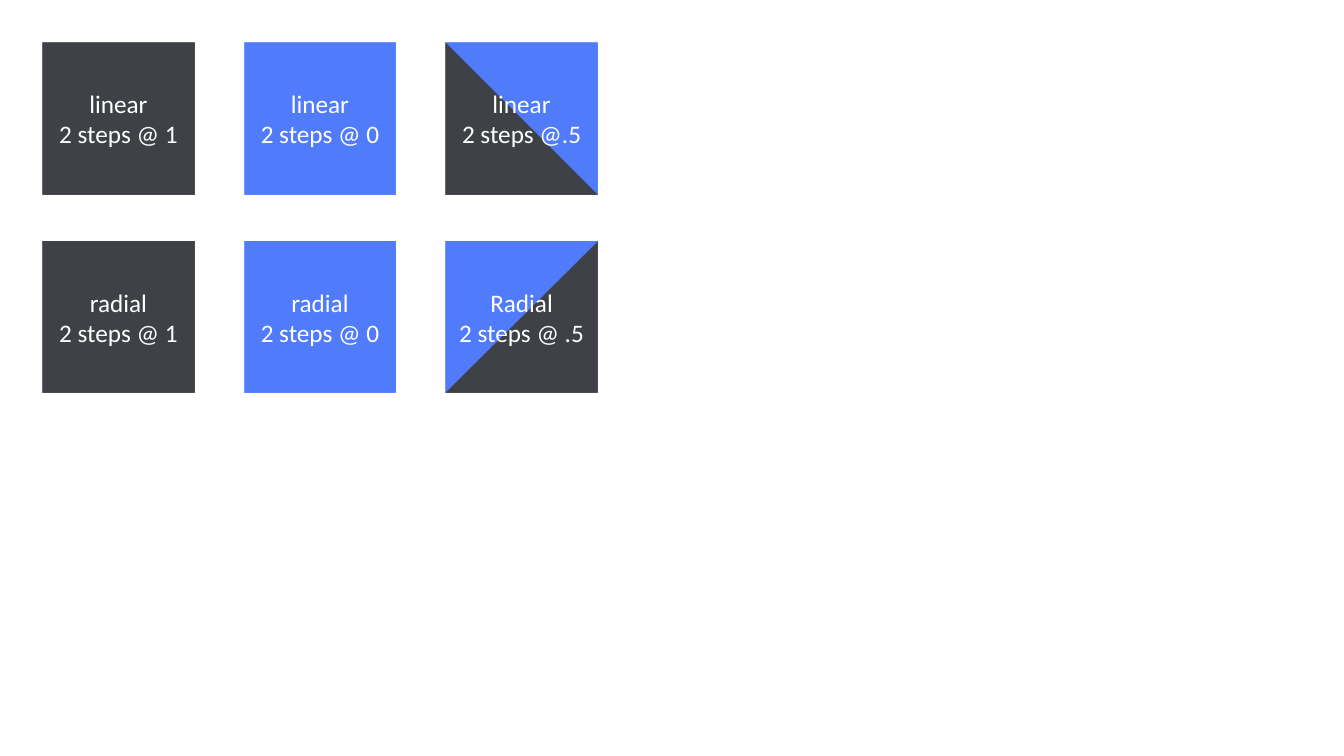
import pptx
import pptx.dml.color
import pptx.enum.shapes
import pptx.enum.text
import pptx.oxml
import pptx.oxml.ns
import pptx.util
from pptx.util import Cm

COLORS = {"dark": "11151A", "blue": "517CFC", "text": "FFFFFF"}
FONT_NAME = "Calibri"

MARGIN = 1.08
SQUARE_SIZE = 3.81
COLUMN_PITCH = 5.08
ROW_PITCH = 5.01

DIRECTIONS = {
    "linear": '<a:lin ang="18900000" scaled="0"/>',
    "radial": '<a:path path="circle"><a:fillToRect l="100000" t="100000"/></a:path>',
}

# Each row: gradient kind, then (step position in percent, title, caption)
ROWS = [
    ("linear", [(100, "linear", "2 steps @ 1"),
                (0, "linear", "2 steps @ 0"),
                (50, "linear", "2 steps @.5")]),
    ("radial", [(100, "radial", "2 steps @ 1"),
                (0, "radial", "2 steps @ 0"),
                (50, "Radial", "2 steps @ .5")]),
]


def fill_with_step(shape, kind, percent):
    """Fill with a gradient that switches sharply from dark to blue at percent."""
    position = percent * 1000
    gradient = pptx.oxml.parse_xml(
        f'<a:gradFill {pptx.oxml.ns.nsdecls("a")} rotWithShape="1"><a:gsLst>'
        f'<a:gs pos="{position}"><a:srgbClr val="{COLORS["dark"]}">'
        f'<a:alpha val="80000"/></a:srgbClr></a:gs>'
        f'<a:gs pos="{position}"><a:srgbClr val="{COLORS["blue"]}"/></a:gs>'
        f'</a:gsLst>{DIRECTIONS[kind]}</a:gradFill>'
    )
    shape.fill.background()
    properties = shape.element.spPr
    properties.replace(properties.find(pptx.oxml.ns.qn("a:noFill")), gradient)


def write_lines(shape, lines):
    text_frame = shape.text_frame
    text_frame.word_wrap = True
    text_frame.vertical_anchor = pptx.enum.text.MSO_ANCHOR.MIDDLE
    for index, line in enumerate(lines):
        paragraph = text_frame.add_paragraph() if index else text_frame.paragraphs[0]
        paragraph.alignment = pptx.enum.text.PP_ALIGN.CENTER
        run = paragraph.add_run()
        run.text = line
        run.font.name = FONT_NAME
        run.font.size = pptx.util.Pt(18)
        run.font.color.rgb = pptx.dml.color.RGBColor.from_string(COLORS["text"])


def add_gradient_square(slide, left, top, kind, percent, lines):
    shape = slide.shapes.add_shape(
        pptx.enum.shapes.MSO_SHAPE.RECTANGLE,
        Cm(left), Cm(top), Cm(SQUARE_SIZE), Cm(SQUARE_SIZE),
    )
    shape.shadow.inherit = False
    fill_with_step(shape, kind, percent)
    shape.line.fill.background()
    write_lines(shape, lines)


def main():
    presentation = pptx.Presentation()
    presentation.slide_width = Cm(33.87)
    presentation.slide_height = Cm(19.05)
    slide = presentation.slides.add_slide(presentation.slide_layouts[6])
    for row, (kind, squares) in enumerate(ROWS):
        for column, (percent, *lines) in enumerate(squares):
            add_gradient_square(
                slide, MARGIN + column * COLUMN_PITCH, MARGIN + row * ROW_PITCH,
                kind, percent, lines,
            )
    presentation.save("out.pptx")


if __name__ == "__main__":
    main()
